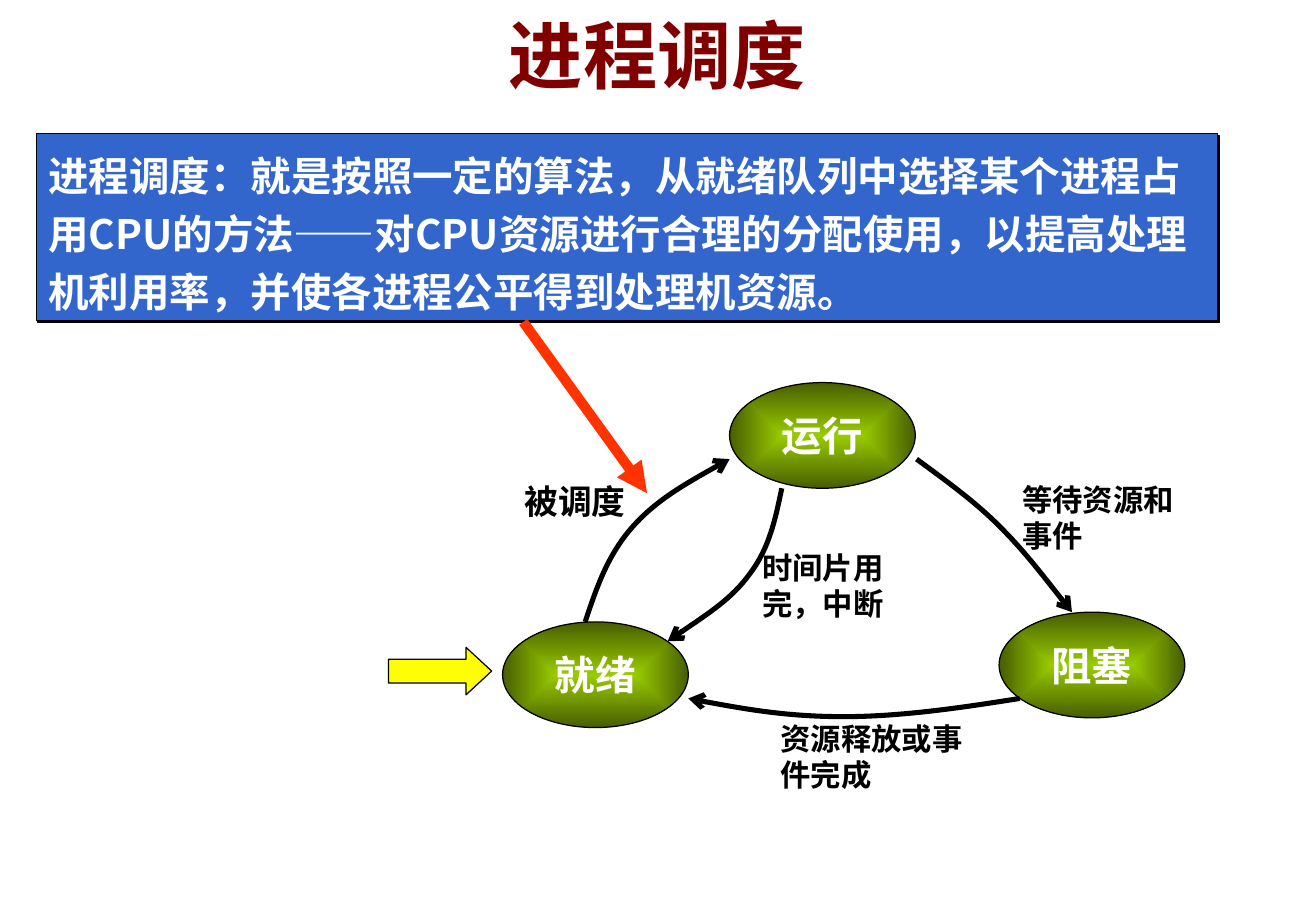
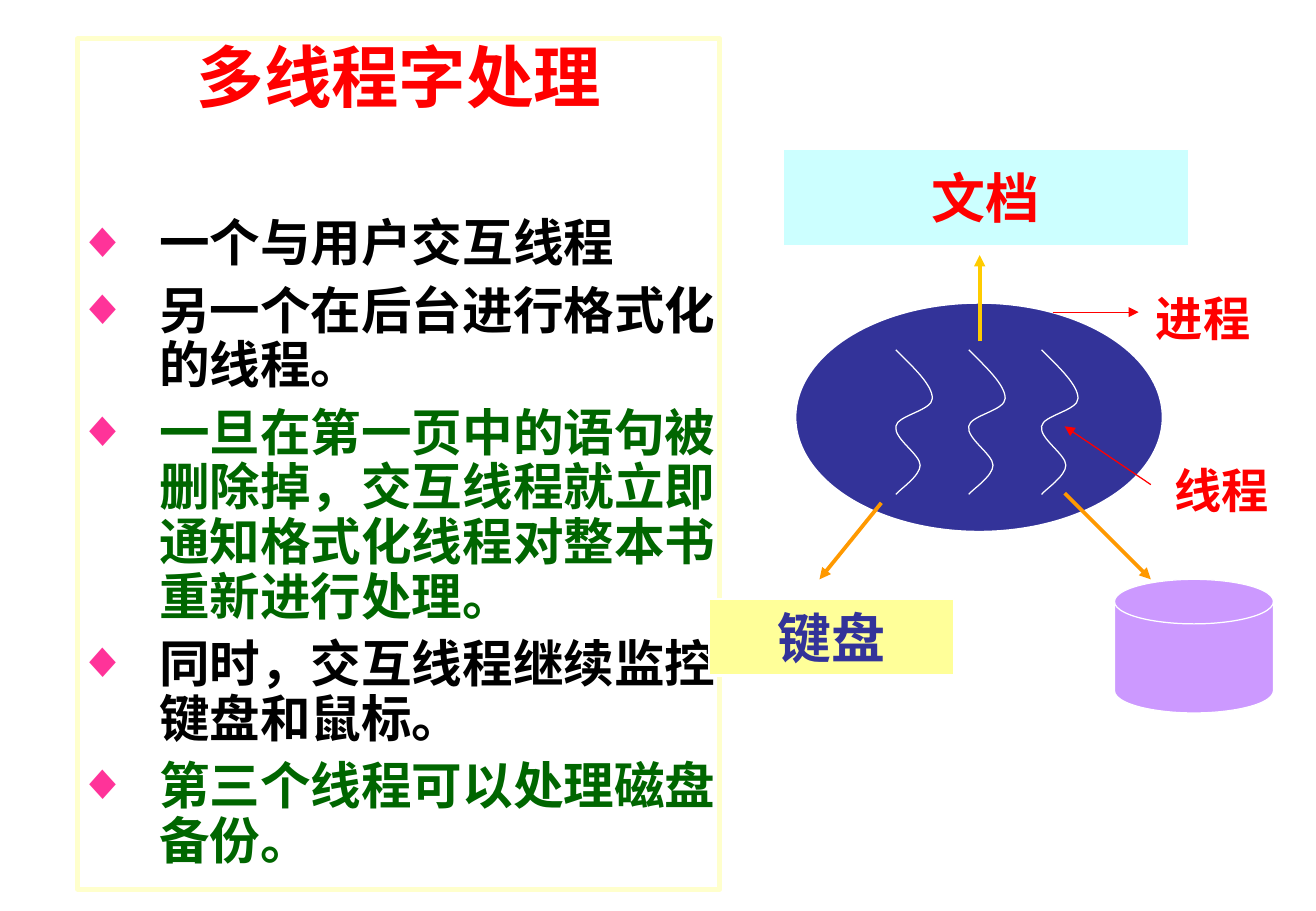
from lxml.etree import SubElement
from pptx import Presentation
from pptx.dml.color import RGBColor
from pptx.enum.shapes import MSO_CONNECTOR, MSO_SHAPE
from pptx.enum.text import MSO_ANCHOR, MSO_AUTO_SIZE, PP_ALIGN
from pptx.oxml.ns import qn
from pptx.util import Pt

SCALE = 9144  # EMU per px, 100 px to the inch
SERIF, SANS, ARIAL = "Times New Roman", "Noto Sans CJK SC", "Arial"
LINE_RATIO = 1.2  # line height of the Chinese text relative to its size
COLORS = {key: RGBColor.from_string(value) for key, value in {
    "black": "000000", "white": "FFFFFF", "maroon": "800000", "red": "FF0000",
    "blue": "3366CC", "navy": "333399", "lime": "99CC00", "olive": "475E00",
    "yellow": "FFFF00", "cream": "FFFFCC", "straw": "FFFF99", "aqua": "CCFFFF",
    "violet": "CC99FF", "green": "006600", "vermilion": "FF3300",
    "orange": "FF9900", "gold": "FFCC00"}.items()}


def write(shape, lines, size, font=SERIF, align=PP_ALIGN.LEFT, anchor=MSO_ANCHOR.TOP,
          wrap=True, inset=(10, 5, 10, 5), spacing=None, before=0, bullet=None):
    """Fill a shape with (text, colour) paragraphs in one format."""
    frame = shape.text_frame
    left, top, right, bottom = [value * SCALE for value in inset]
    for name, value in {"word_wrap": wrap, "auto_size": MSO_AUTO_SIZE.NONE,
                        "vertical_anchor": anchor, "margin_left": left, "margin_top": top,
                        "margin_right": right, "margin_bottom": bottom}.items():
        setattr(frame, name, value)
    for index, (text, color) in enumerate(lines):
        para = frame.add_paragraph() if index else frame.paragraphs[0]
        if bullet:
            props = para._p.get_or_add_pPr()
            props.set("marL", str(67 * SCALE))
            props.set("indent", str(-67 * SCALE))
            SubElement(SubElement(props, qn("a:buClr")), qn("a:srgbClr"), val="FF3399")
            SubElement(props, qn("a:buChar"), char=bullet)
        para.alignment = align
        para.space_before = Pt(before if index else 0)
        if spacing:
            para.line_spacing = Pt(round(size * LINE_RATIO * spacing, 1))
        span = para.add_run()
        span.text = text
        for name, value in {"name": font, "size": Pt(size), "bold": True}.items():
            setattr(span.font, name, value)
        span.font.color.rgb = COLORS[color]


def outline(item, color, width, arrow=None):
    """Set the line of a shape or connector and switch its shadow off."""
    item.line.color.rgb = COLORS[color]
    item.line.width = Pt(width)
    properties = item._element.spPr
    if arrow:
        SubElement(properties.find(qn("a:ln")), qn("a:tailEnd"), type=arrow)
    return SubElement(properties, qn("a:effectLst"))


deck = Presentation()
deck.slide_width, deck.slide_height = 1084 * SCALE, 750 * SCALE
TITLE_AND_BODY, TITLE_ONLY = deck.slide_layouts[1], deck.slide_layouts[5]
centered = {"align": PP_ALIGN.CENTER, "anchor": MSO_ANCHOR.MIDDLE}

# Both pages and their titles
pages = []
for layout, text, color, size, font, area in [
        (TITLE_ONLY, "进程调度", "maroon", 44, ARIAL, (54, 0, 975, 88)),
        (TITLE_AND_BODY, "多线程字处理", "red", 40, SANS, (64, 32, 529, 60))]:
    page = deck.slides.add_slide(layout)
    title = page.shapes.title
    title.left, title.top, title.width, title.height = [value * SCALE for value in area]
    write(title, [(text, color)], size, font, inset=(0, 0, 0, 0), **centered)
    pages.append(page)
scheduling, threading = [page.shapes for page in pages]

# Scheduling: definition with a hard shadow
definition = scheduling.add_shape(
    MSO_SHAPE.RECTANGLE, *[value * SCALE for value in (30, 110, 973, 154)])
definition.fill.solid()
definition.fill.fore_color.rgb = COLORS["blue"]
shadow = SubElement(outline(definition, "black", 0.75), qn("a:outerShdw"),
                    blurRad="0", dist="17780", dir="2700000", algn="ctr", rotWithShape="0")
SubElement(shadow, qn("a:srgbClr"), val="000000")
write(definition, [("进程调度：就是按照一定的算法，从就绪队列中选择某个进程占用CPU的方法——"
                    "对CPU资源进行合理的分配使用，以提高处理机利用率，"
                    "并使各进程公平得到处理机资源。", "white")],
      24, SANS, inset=(10, 6, 10, 5), spacing=1.2)

# Scheduling: process states
for text, left, top in [("运行", 601, 315), ("就绪", 414, 512), ("阻塞", 823, 504)]:
    state = scheduling.add_shape(
        MSO_SHAPE.OVAL, *[value * SCALE for value in (left, top, 153, 87)])
    state.fill.gradient()
    for stop, color in zip(state.fill.gradient_stops, ("lime", "olive")):
        stop.color.rgb = COLORS[color]
    gradient = state._element.spPr.find(qn("a:gradFill"))
    gradient.remove(gradient.find(qn("a:lin")))
    SubElement(SubElement(gradient, qn("a:path"), path="rect"), qn("a:fillToRect"),
               l="50000", t="50000", r="50000", b="50000")
    outline(state, "black", 0.75)
    write(state, [(text, "white")], 24, wrap=False, **centered)

# Threading: bullet list inside a frame, below the title
points = threading.placeholders[1]
points.left, points.top, points.width, points.height = [
    value * SCALE for value in (64, 32, 529, 700)]
outline(points, "cream", 3)
write(points, [("一个与用户交互线程", "black"),
               ("另一个在后台进行格式化的线程。", "black"),
               ("一旦在第一页中的语句被删除掉，交互线程就立即通知格式化线程对整本书重新进行处理。",
                "green"),
               ("同时，交互线程继续监控键盘和鼠标。", "black"),
               ("第三个线程可以处理磁盘备份。", "green")],
      30, SANS, inset=(0, 147, 0, 0), spacing=0.9, before=7.5, bullet="◆")

# Solid shapes: entry arrow, process, disk, keyboard and document
for shapes, kind, area, fill, line, width, text, color in [
        (scheduling, MSO_SHAPE.RIGHT_ARROW, (320, 533, 85, 39), "yellow", "black", 0.75, "", ""),
        (threading, MSO_SHAPE.OVAL, (655, 249, 303, 189), "navy", "white", 1.5, "", ""),
        (threading, MSO_SHAPE.FLOWCHART_MAGNETIC_DISK, (918, 477, 131, 110),
         "violet", "white", 0.75, "", ""),
        (threading, MSO_SHAPE.RECTANGLE, (584, 493, 202, 63),
         "straw", "white", 1.5, "键盘", "navy"),
        (threading, MSO_SHAPE.RECTANGLE, (645, 123, 334, 79),
         "aqua", "white", 0.75, "文档", "red")]:
    block = shapes.add_shape(kind, *[value * SCALE for value in area])
    block.fill.solid()
    block.fill.fore_color.rgb = COLORS[fill]
    outline(block, line, width)
    if kind == MSO_SHAPE.RIGHT_ARROW:
        block.adjustments[1] = 0.54
    if text:
        write(block, [(text, color)], 32, wrap=False, **centered)

# Curves: state transitions and the three threads
curves = [(scheduling, "black", 3, "arrow", curve) for curve in (
    [(482, 512), (491, 485), (500, 458), (520, 435), (539, 413), (570, 395), (601, 378)],
    [(644, 402), (639, 426), (634, 451), (618, 472), (603, 493), (576, 510), (550, 528)],
    [(755, 378), (778, 395), (802, 412), (823, 433), (844, 454), (863, 479), (883, 504)],
    [(840, 575), (790, 583), (741, 590), (695, 590), (650, 590), (608, 583), (567, 575)])]
thread = [(0, 288), (15, 303), (30, 317), (30, 328), (30, 338), (1, 342), (0, 351),
          (-2, 361), (20, 374), (20, 383), (20, 392), (3, 403), (0, 407)]
curves += [(threading, "white", 0.75, None, [(738 + 60 * index + x, y) for x, y in thread])
           for index in range(3)]
for shapes, color, width, arrow, curve in curves:
    builder = shapes.build_freeform(*curve[0], scale=SCALE)
    builder.add_line_segments(curve[1:], close=False)
    stroke = builder.convert_to_shape()
    stroke.fill.background()
    outline(stroke, color, width, arrow)
    # Every three segments become one cubic curve
    track = stroke._element.find(".//" + qn("a:path"))
    segments = track.findall(qn("a:lnTo"))
    for start in range(0, len(segments), 3):
        cubic = SubElement(track, qn("a:cubicBezTo"))
        for segment in segments[start:start + 3]:
            cubic.append(segment[0])
            track.remove(segment)

# Labels
for shapes, text, area, size, color, align in [
        (scheduling, "被调度", (422, 391, 145, 44), 20, "black", PP_ALIGN.LEFT),
        (scheduling, "时间片用完，中断", (618, 447, 137, 70), 18, "black", PP_ALIGN.LEFT),
        (scheduling, "资源释放或事件完成", (633, 588, 179, 70), 18, "black", PP_ALIGN.LEFT),
        (scheduling, "等待资源和事件", (832, 391, 145, 70), 18, "black", PP_ALIGN.LEFT),
        (threading, "线程", (951, 375, 111, 57), 28, "red", PP_ALIGN.CENTER),
        (threading, "进程", (928, 233, 126, 57), 28, "red", PP_ALIGN.CENTER)]:
    label = shapes.add_textbox(*[value * SCALE for value in area])
    write(label, [(text, color)], size, align=align, spacing=1)

# Straight arrows
for shapes, ends, color, width in [
        (scheduling, (431, 265, 533, 406), "vermilion", 6),
        (threading, (726, 414, 675, 477), "orange", 2.25),
        (threading, (877, 406, 948, 477), "orange", 2.25),
        (threading, (807, 281, 807, 210), "gold", 2.25),
        (threading, (948, 399, 877, 351), "red", 0.75),
        (threading, (867, 257, 938, 257), "red", 0.75)]:
    pointer = shapes.add_connector(
        MSO_CONNECTOR.STRAIGHT, *[value * SCALE for value in ends])
    outline(pointer, color, width, "triangle")

deck.save("out.pptx")
